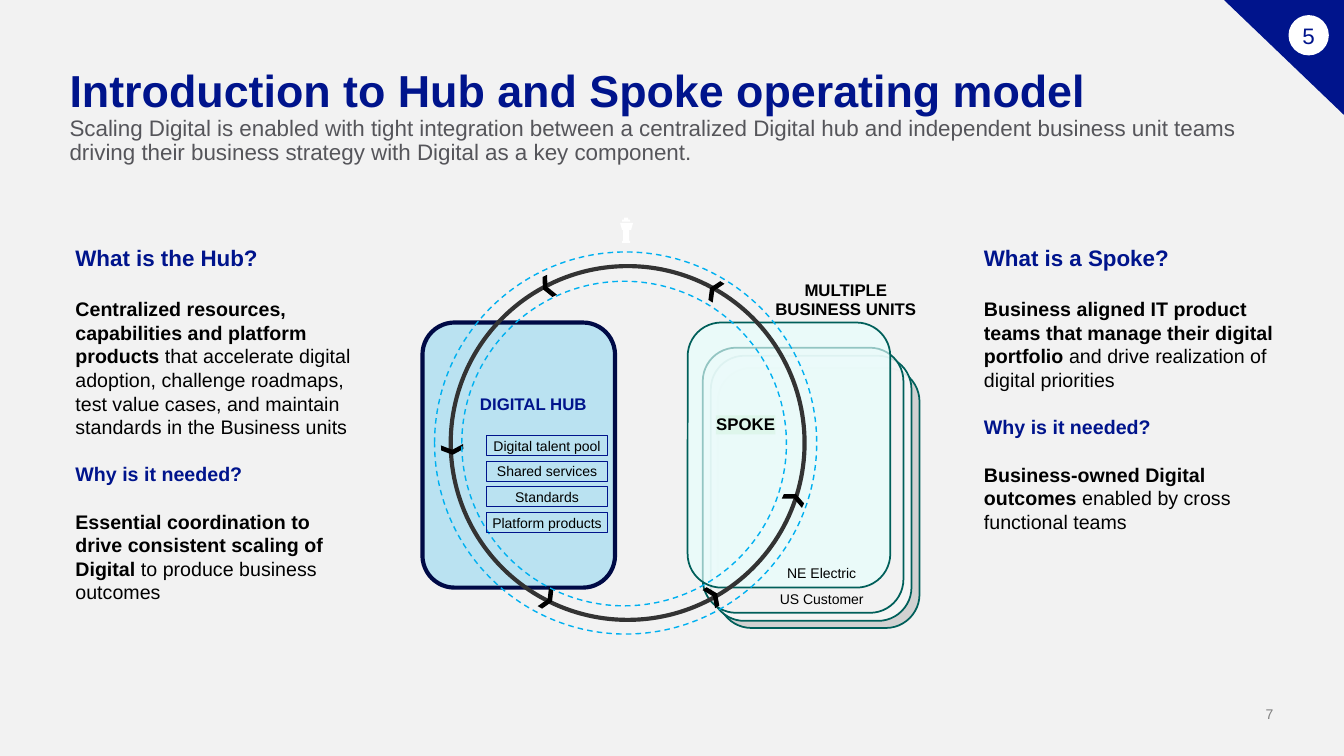
from math import cos, radians, sin

from lxml import etree
from pptx import Presentation
from pptx.dml.color import RGBColor
from pptx.enum.dml import MSO_LINE
from pptx.enum.shapes import MSO_SHAPE as SHAPE
from pptx.enum.text import MSO_ANCHOR as ANCHOR, PP_ALIGN as ALIGN
from pptx.oxml.ns import qn
from pptx.util import Inches, Pt

NAVY, TEAL, SKY, BLACK, WHITE = "00148C", "005F5A", "00B0F0", "000000", "FFFFFF"


def rgb(value):
    """Turn a hex string into a colour."""
    return RGBColor.from_string(value)


def style(sp, fill=None, line=None, width=1, alpha=None, dash=False):
    """Set fill, outline and transparency of a shape."""
    sp.shadow.inherit = False
    if fill:
        sp.fill.solid()
        sp.fill.fore_color.rgb = rgb(fill)
        if alpha:
            color = sp.fill._xPr.find(qn("a:solidFill"))[0]
            etree.SubElement(color, qn("a:alpha")).set("val", str(alpha * 1000))
    else:
        sp.fill.background()
    if line:
        sp.line.color.rgb = rgb(line)
        sp.line.width = Pt(width)
        if dash:
            sp.line.dash_style = MSO_LINE.DASH
    else:
        sp.line.fill.background()


def add_shape(s, kind, box, rot=0, **look):
    """Add a styled preset shape in a box given in inches."""
    sp = s.shapes.add_shape(kind, *map(Inches, box))
    sp.rotation = rot
    style(sp, **look)
    return sp


def add_run(p, text, size, color=BLACK, bold=False):
    """Append a formatted run to a paragraph."""
    r = p.add_run()
    r.text = text
    for name, value in {"name": "Arial", "size": Pt(size), "bold": bold}.items():
        setattr(r.font, name, value)
    r.font.color.rgb = rgb(color)


def set_frame(sp, anchor=ANCHOR.TOP, inset=0, wrap=True):
    """Set up the text frame of a shape and return its first paragraph."""
    tf = sp.text_frame
    margins = {f"margin_{side}": Inches(inset) for side in ("left", "right")}
    margins.update({f"margin_{side}": Inches(inset / 2) for side in ("top", "bottom")})
    for name, value in {**margins, "word_wrap": wrap, "vertical_anchor": anchor}.items():
        setattr(tf, name, value)
    return tf.paragraphs[0]


def label(sp, text, size, color=BLACK, bold=False, align=ALIGN.CENTER, spacing=None, **frame):
    """Write a single-paragraph label into a shape."""
    p = set_frame(sp, **frame)
    p.alignment = align
    p.line_spacing = spacing
    add_run(p, text, size, color, bold)


def add_text(s, box):
    """Add an empty text box in a box given in inches."""
    return s.shapes.add_textbox(*map(Inches, box))


def header(s, box):
    """Write the title with its subtitle below."""
    p = set_frame(add_text(s, box))
    p.line_spacing = 0.9
    add_run(p, "Introduction to Hub and Spoke operating model", 32, NAVY, True)
    p.add_line_break()
    add_run(p, "Scaling Digital is enabled with tight integration between a centralized Digital hub "
               "and independent business unit teams driving their business strategy with Digital "
               "as a key component.", 16, "55555A")


def explainer(s, box, question, answer, reason):
    """Write a side column of headings, each with a partly bold answer."""
    sp = add_text(s, box)
    p = set_frame(sp, inset=0.1)
    add_run(p, question, 16, NAVY, True)
    for runs, before in ((answer, 19), (("Why is it needed?",), 17), (reason, 17)):
        p = sp.text_frame.add_paragraph()
        p.space_before = Pt(before)
        add_run(p, runs[0], 14, BLACK if len(runs) > 1 else NAVY, True)
        for text in runs[1:]:
            add_run(p, text, 14)


def spoke_cards(s, box):
    """Stack the business unit cards from back to front."""
    x, y, w, h = box
    cards = ((0.3, 0.45, 2, 2.58, "CCCCCC", 85), (0.23, 0.33, 1.99, h, "FCFCFC", 85),
             (0.15, 0.25, 1.99, h, "F2F2F2", 85), (0, 0, w, h, "E7FFFE", 64))
    for dx, dy, cw, ch, fill, alpha in cards:
        add_shape(s, SHAPE.ROUNDED_RECTANGLE, (x + dx, y + dy, cw, ch),
                  fill=fill, alpha=alpha, line=TEAL, width=1.25)


def hub_card(s, box):
    """Draw the hub card with its heading."""
    x, y, w, h = box
    add_shape(s, SHAPE.ROUNDED_RECTANGLE, box, fill="00AFF0", alpha=23, line="000A46", width=2.97)
    label(add_text(s, (x + 0.5, y + 0.71, 1.2, 0.19)), "DIGITAL HUB", 12, NAVY, True,
          anchor=ANCHOR.MIDDLE)


def cycle_ring(s, box):
    """Draw the ring with chevrons placed by angle along it."""
    x, y, w, h = box
    add_shape(s, SHAPE.OVAL, box, line="333333", width=2.97)
    cx, cy, radius = x + w / 2, y + h / 2, 1.74
    for angle, rot in ((-60.4, 212.1), (-117.2, 153.5), (177.8, 86.4),
                       (117.1, 30.5), (60.9, 325.2), (18.5, 294.9)):
        mx = cx + radius * cos(radians(angle))
        my = cy + radius * sin(radians(angle))
        add_shape(s, SHAPE.CHEVRON, (mx - 0.05, my - 0.11, 0.1, 0.22), rot, fill=BLACK)


def lantern(s, box):
    """Draw the small white lantern icon above the ring."""
    x, y, w, h = box
    outlines = (
        ((0.04, 0), (0.08, 0), (0.08, 0.02), (0.1, 0.02), (0.1, 0.04), (0.02, 0.04),
         (0.02, 0.02), (0.04, 0.02)),
        ((0, 0.05), (0.13, 0.05), (0.11, 0.12), (0.02, 0.12)),
        ((0.03, 0.12), (0.09, 0.12), (0.09, 0.23), (0.03, 0.23)),
        ((0.02, 0.23), (0.1, 0.23), (0.1, 0.25), (0.02, 0.25)))
    paths = [[(Inches(x + px), Inches(y + py)) for px, py in o] for o in outlines]
    fb = s.shapes.build_freeform(*paths[0][0])
    fb.add_line_segments(paths[0][1:])
    for points in paths[1:]:
        fb.move_to(*points[0])
        fb.add_line_segments(points[1:])
    style(fb.convert_to_shape(), fill=WHITE)


def hub_services(s, box):
    """List the hub services in equal outlined boxes."""
    x, y, w, h = box
    names = ("Digital talent pool", "Shared services", "Standards", "Platform products")
    for i, name in enumerate(names):
        sp = add_shape(s, SHAPE.RECTANGLE, (x, y + i * 0.255, w, h), line=NAVY, width=0.67)
        label(sp, name, 10, anchor=ANCHOR.MIDDLE, inset=0.09, wrap=False)


def spoke_labels(s, box):
    """Name the spoke cards and two of their business units."""
    x, y, w, h = box
    label(add_text(s, (x + 0.82, y - 0.41, 1.5, 0.33)), "MULTIPLE BUSINESS UNITS", 12,
          bold=True, spacing=0.95)
    for i, name in enumerate(("NE Electric", "US Customer")):
        label(add_text(s, (x + 0.83, y + 2.38 + i * 0.26, 1, 0.21)), name, 10,
              anchor=ANCHOR.MIDDLE)


def corner_badge(s, box):
    """Fill the top right corner and put the section number on it."""
    x, y, w, h = box
    sp = add_shape(s, SHAPE.ISOSCELES_TRIANGLE, box, 270, fill=NAVY)
    sp.adjustments[0] = 1
    badge = add_shape(s, SHAPE.OVAL, (x + 0.62, y + 0.18, 0.4, 0.4), fill=WHITE)
    label(badge, "5", 16, NAVY, anchor=ANCHOR.MIDDLE)


def hub_and_spoke(s, box):
    """Build the central diagram from back to front."""
    x, y, w, h = box
    spoke = (x + 2.63, y + 1.04, 2.01, 2.63)
    spoke_cards(s, spoke)
    hub_card(s, (x, y + 1.04, 1.91, 2.63))
    cycle_ring(s, (x + 0.28, y + 0.48, 3.51, 3.51))
    tag = add_shape(s, SHAPE.RECTANGLE, (x + 2.91, y + 1.96, 0.59, 0.19), fill="DEF6EB")
    label(tag, "SPOKE", 12, bold=True, spacing=0.95)
    lantern(s, (x + 1.96, y, 0.13, 0.25))
    for dx, dy, size in ((0.12, 0.34, 3.79), (0.39, 0.63, 3.22)):
        add_shape(s, SHAPE.OVAL, (x + dx, y + dy, size, size), line=SKY, dash=True)
    spoke_labels(s, spoke)
    hub_services(s, (x + 0.63, y + 2.16, 1.21, 0.2))


def main():
    """Build and save the slide."""
    prs = Presentation()
    prs.slide_width, prs.slide_height = Inches(13.33), Inches(7.5)
    s = prs.slides.add_slide(prs.slide_layouts[6])
    s.background.fill.solid()
    s.background.fill.fore_color.rgb = rgb("F2F2F2")
    label(add_text(s, (12.21, 7, 0.42, 0.17)), "7", 10, "808080",
          align=ALIGN.RIGHT, anchor=ANCHOR.BOTTOM)
    header(s, (0.69, 0.68, 11.96, 1.45))
    explainer(s, (0.65, 2.37, 3.03, 3.74), "What is the Hub?",
              ("Centralized resources, capabilities and platform products ",
               "that accelerate digital adoption, challenge roadmaps, test value cases, "
               "and maintain standards in the Business units"),
              ("Essential coordination to drive consistent scaling of Digital ",
               "to produce business outcomes"))
    explainer(s, (9.66, 2.37, 3.19, 3.23), "What is a Spoke?",
              ("Business aligned IT product teams that manage their digital portfolio ",
               "and drive realization of digital priorities"),
              ("Business-owned Digital outcomes ", "enabled by cross functional teams"))
    hub_and_spoke(s, (4.19, 2.16, 5, 4.13))
    corner_badge(s, (12.16, -0.03, 1.15, 1.2))
    prs.save("out.pptx")


if __name__ == "__main__":
    main()
